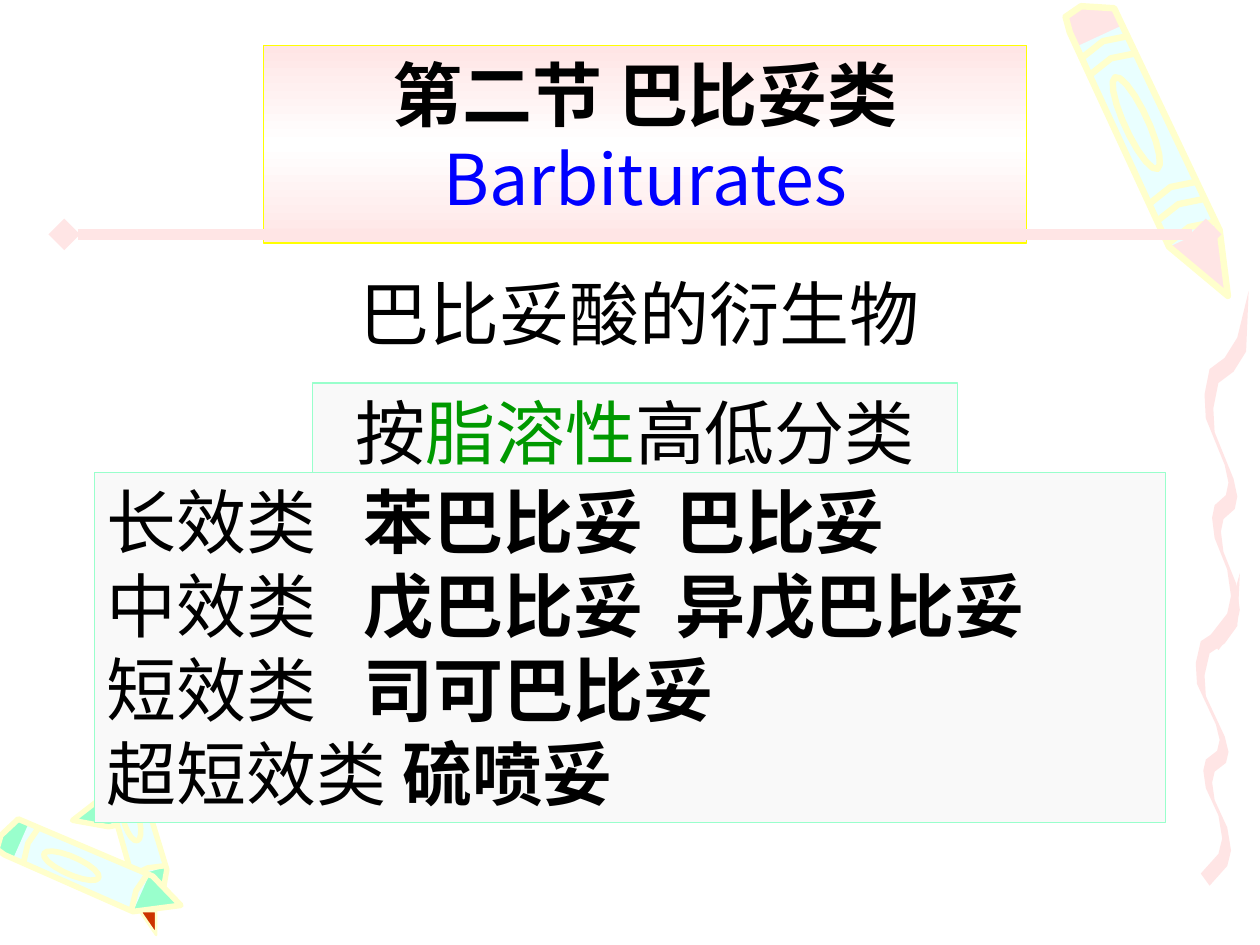
import copy
import math

import lxml.etree
import pptx
import pptx.dml.color
import pptx.enum.shapes
import pptx.enum.text
import pptx.oxml.ns
import pptx.util

Inches = pptx.util.Inches
Pt = pptx.util.Pt
qn = pptx.oxml.ns.qn

FONT = "Noto Sans CJK SC"
PINK, ICE, CREAM, MINT, RED = "FFE5E5", "E9FFFF", "FFFFCC", "99FFCC", "CC3300"
BLACK, BLUE, GREEN = "000000", "0000FF", "009900"
WHITE, YELLOW, PANEL = "FFFFFF", "FFFF00", "F9F9F9"

# Each run is (text, colour, bold); "\n" stands for a line break.
TITLE = [[("第二节 巴比妥类", BLACK, True), ("\n", BLACK, True), ("Barbiturates", BLUE, False)]]
DEFINITION = [[("巴比妥酸的衍生物", BLACK, False)]]
CRITERION = [[("按", BLACK, False), ("脂溶性", GREEN, False), ("高低分类", BLACK, False)]]
DRUG_CLASSES = [
    ("长效类\t", "苯巴比妥\t巴比妥"),
    ("中效类\t", "戊巴比妥\t异戊巴比妥"),
    ("短效类\t", "司可巴比妥"),
    ("超短效类 ", "硫喷妥"),
]
DRUG_TABS = (2.04, 4.51)

# Crayons run from tail to tip; bands are fractions of that length.
CRAYONS = [
    dict(tail=(8.65, 0.1), tip=(9.7, 2.37), width=0.42, accent=PINK,
         bands=(0.12, 0.18, 0.63, 0.69, 0.77)),
    dict(tail=(1.92, 6.25), tip=(0.57, 6.48), width=0.26, accent=MINT, bands=()),
    dict(tail=(0.95, 6.1), tip=(1.25, 7.15), width=0.28, accent=MINT, bands=(0.77,)),
    dict(tail=(0.06, 6.62), tip=(1.42, 7.22), width=0.32, accent=MINT, bands=(0.14, 0.77)),
]
# Crayon parts as (fraction along the length, fraction across the width).
CRAYON_BODY = [(0.03, -0.5), (-0.02, -0.45), (-0.03, -0.1), (0.02, 0.45),
               (0.8, 0.5), (1, 0.12), (0.78, -0.5)]
CRAYON_BARREL = [(0.08, -0.45), (0.08, 0.45), (0.78, 0.45), (0.78, -0.45)]
LABEL_CENTER, LABEL_RADII = (0.38, -0.08), (0.16, 0.22)
LEAD_CHIP = [(1.11, 7.23), (1.24, 7.23), (1.24, 7.42)]

# A squiggle is its left edge, top to bottom, and the same edge shifted by a slant.
SQUIGGLE_EDGE = [(9.91, 2.31), (9.82, 2.68), (9.72, 2.84), (9.6, 2.93), (9.56, 3.13),
                 (9.57, 3.32), (9.72, 3.69), (9.75, 3.83), (9.73, 3.93), (9.64, 4.01),
                 (9.62, 4.11), (9.64, 4.27), (9.74, 4.52), (9.77, 4.73), (9.74, 4.87),
                 (9.6, 5.05)]
SQUIGGLE_SLANT = (0.07, 0.11)
LOWER_TOP, LOWER_SHIFT, LOWER_SCALE = 4.55, -0.07, 0.87


def rgb(value):
    return pptx.dml.color.RGBColor.from_string(value)


def style(shape, fill=None, edge=None, edge_width=0.75):
    shape.shadow.inherit = False
    if fill:
        shape.fill.solid()
        shape.fill.fore_color.rgb = rgb(fill)
    else:
        shape.fill.background()
    if edge:
        shape.line.color.rgb = rgb(edge)
        shape.line.width = Pt(edge_width)
    else:
        shape.line.fill.background()


def draw_outline(slide, corners, fill=None, edge=None, edge_width=0.75, close=True):
    corners = [(Inches(x), Inches(y)) for x, y in corners]
    builder = slide.shapes.build_freeform(*corners[0])
    builder.add_line_segments(corners[1:], close=close)
    style(builder.convert_to_shape(), fill, edge, edge_width)


def draw_crayon(slide, tail, tip, width, accent, bands):
    run, fall = tip[0] - tail[0], tip[1] - tail[1]
    length = math.hypot(run, fall)

    def place(part):
        """Turn crayon fractions into slide inches."""
        return [(tail[0] + along * run + across * width * fall / length,
                 tail[1] + along * fall - across * width * run / length)
                for along, across in part]

    stroke = 2 + 4 * width
    draw_outline(slide, place(CRAYON_BODY), accent)
    draw_outline(slide, place(CRAYON_BARREL), ICE)
    draw_outline(slide, place(CRAYON_BODY), None, CREAM, stroke)
    for band in bands:
        curve = [(band, -0.5), (band - 0.02, 0), (band, 0.5)]
        draw_outline(slide, place(curve), None, CREAM, stroke, close=False)
    turns = [math.radians(angle) for angle in range(0, 360, 20)]
    label = [(LABEL_CENTER[0] + LABEL_RADII[0] * math.cos(turn),
              LABEL_CENTER[1] + LABEL_RADII[1] * math.sin(turn)) for turn in turns]
    draw_outline(slide, place(label), None, CREAM, stroke)


def draw_squiggles(slide):
    slant_x, slant_y = SQUIGGLE_SLANT
    right_edge = [(x + slant_x, y + slant_y) for x, y in SQUIGGLE_EDGE[1:]]
    upper = SQUIGGLE_EDGE + right_edge[::-1]
    upper_top = SQUIGGLE_EDGE[0][1]
    lower = [(x + LOWER_SHIFT, LOWER_TOP + (y - upper_top) * LOWER_SCALE) for x, y in upper]
    for ribbon in (lower, upper):
        draw_outline(slide, ribbon, PINK)


def draw_divider(slide, left, right, y):
    divider = slide.shapes.add_connector(
        pptx.enum.shapes.MSO_CONNECTOR.STRAIGHT, *map(Inches, (left, y, right, y)))
    divider.line.color.rgb = rgb(PINK)
    divider.line.width = Pt(6)
    outline = divider._element.spPr.find(qn("a:ln"))
    for end in ("a:headEnd", "a:tailEnd"):
        lxml.etree.SubElement(outline, qn(end), type="diamond")
    lxml.etree.SubElement(divider._element.spPr, qn("a:effectLst"))


def draw_panel(slide, place, fill, edge):
    panel = slide.shapes.add_shape(
        pptx.enum.shapes.MSO_SHAPE.RECTANGLE, *map(Inches, place))
    style(panel, fill, edge)
    return panel


def fill_with_glow(panel, outer_colour, middle_colour):
    """Shade from the outer colour to the middle colour and back, top to bottom."""
    panel.fill.gradient()
    panel.fill.gradient_angle = 90
    outer, middle = panel.fill.gradient_stops
    outer.color.rgb, middle.color.rgb = rgb(outer_colour), rgb(middle_colour)
    outer.position, middle.position = 0, 0.5
    stops = panel._element.spPr.find(".//" + qn("a:gsLst"))
    last = copy.deepcopy(stops[0])
    last.set("pos", "100000")
    stops.append(last)


def write(shape, paragraphs, align, tabs=()):
    frame = shape.text_frame
    frame.word_wrap = True
    frame.vertical_anchor = pptx.enum.text.MSO_ANCHOR.TOP
    for index, runs in enumerate(paragraphs):
        paragraph = frame.add_paragraph() if index else frame.paragraphs[0]
        paragraph.alignment = align
        paragraph.line_spacing = Pt(48)
        if tabs:
            tab_list = lxml.etree.SubElement(paragraph._p.get_or_add_pPr(), qn("a:tabLst"))
            for stop in tabs:
                lxml.etree.SubElement(tab_list, qn("a:tab"), pos=str(Inches(stop)), algn="l")
        for text, colour, bold in runs:
            if text == "\n":
                paragraph.add_line_break()
                continue
            run = paragraph.add_run()
            run.text = text
            run.font.name, run.font.size, run.font.bold = FONT, Pt(40), bold
            run.font.color.rgb = rgb(colour)
            latin = run._r.get_or_add_rPr().find(qn("a:latin"))
            latin.addnext(latin.makeelement(qn("a:ea"), {"typeface": FONT}))


def main():
    deck = pptx.Presentation()
    deck.slide_width, deck.slide_height = Inches(10), Inches(7.5)
    slide = deck.slides.add_slide(deck.slide_layouts[6])

    for crayon in CRAYONS:
        draw_crayon(slide, **crayon)
    draw_outline(slide, LEAD_CHIP, RED, CREAM, 1.5)
    draw_squiggles(slide)

    center, left = pptx.enum.text.PP_ALIGN.CENTER, pptx.enum.text.PP_ALIGN.LEFT
    title = draw_panel(slide, (2.09, 0.36, 6.06, 1.57), None, YELLOW)
    fill_with_glow(title, PINK, WHITE)
    write(title, TITLE, center)
    definition = slide.shapes.add_textbox(*map(Inches, (1.61, 2.1, 6.93, 0.79)))
    write(definition, DEFINITION, center)
    draw_divider(slide, 0.51, 9.57, 1.86)
    criterion = draw_panel(slide, (2.48, 3.04, 5.12, 0.78), PANEL, MINT)
    write(criterion, CRITERION, center)
    classes = draw_panel(slide, (0.75, 3.75, 8.5, 2.78), PANEL, MINT)
    rows = [[(kind, BLACK, False), (drugs, BLACK, True)] for kind, drugs in DRUG_CLASSES]
    write(classes, rows, left, DRUG_TABS)

    deck.save("out.pptx")


if __name__ == "__main__":
    main()
